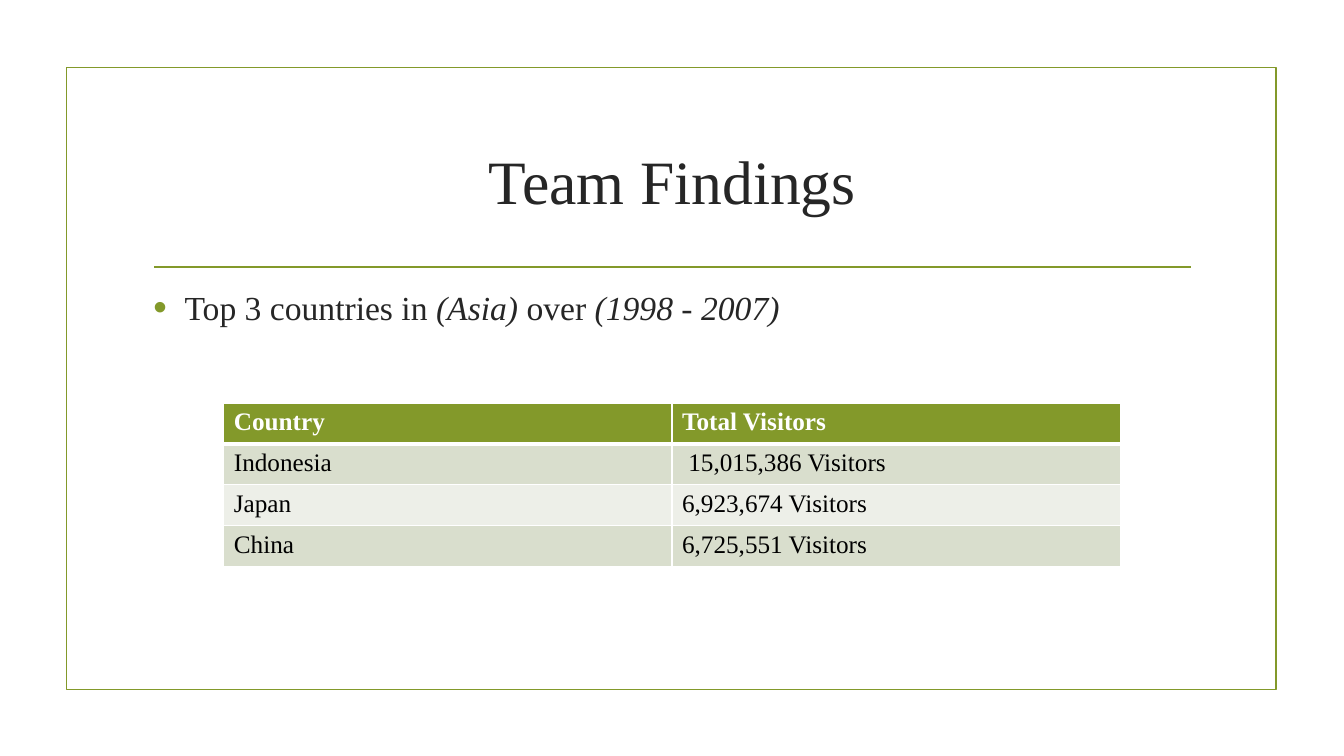
import lxml.etree
import pptx
import pptx.dml.color
import pptx.enum.shapes
import pptx.enum.text
import pptx.oxml.ns
import pptx.util

Inches = pptx.util.Inches
Pt = pptx.util.Pt
RGBColor = pptx.dml.color.RGBColor
qn = pptx.oxml.ns.qn

OLIVE = RGBColor(0x83, 0x99, 0x2A)
INK = RGBColor(0x26, 0x26, 0x26)
BLACK = RGBColor(0, 0, 0)
WHITE = RGBColor(0xFF, 0xFF, 0xFF)
BAND_DARK = RGBColor(0xD9, 0xDE, 0xCD)
BAND_LIGHT = RGBColor(0xED, 0xEF, 0xE8)
FONT = "Times New Roman"

FINDING = [
    ("Top 3 countries in ", False),
    ("(Asia) ", True),
    ("over ", False),
    ("(1998 - 2007)", True),
]
VISITORS = [
    ("Country", "Total Visitors"),
    ("Indonesia", " 15,015,386 Visitors"),
    ("Japan", "6,923,674 Visitors"),
    ("China", "6,725,551 Visitors"),
]


def style_span(span, size, color, bold=False, italic=False):
    span.font.name = FONT
    span.font.size = Pt(size)
    span.font.color.rgb = color
    span.font.bold = bold
    span.font.italic = italic


def place(shape, box):
    shape.left, shape.top, shape.width, shape.height = map(Inches, box)


def add_element(parent, tag, **attributes):
    return lxml.etree.SubElement(parent, qn(tag), attributes)


def add_frame(page, box):
    frame = page.shapes.add_shape(
        pptx.enum.shapes.MSO_SHAPE.RECTANGLE, *map(Inches, box)
    )
    frame.shadow.inherit = False
    frame.fill.background()
    frame.line.color.rgb = OLIVE
    frame.line.width = Pt(1.25)
    page.shapes.title.element.addprevious(frame.element)


def add_rule(page, box):
    left, top, width, height = box
    rule = page.shapes.add_connector(
        pptx.enum.shapes.MSO_CONNECTOR.STRAIGHT,
        *map(Inches, (left, top, left + width, top + height)),
    )
    rule.line.color.rgb = OLIVE
    rule.line.width = Pt(1.25)
    add_element(rule.element.spPr, "a:effectLst")
    page.shapes.title.element.addprevious(rule.element)


def fill_title(page, box):
    title = page.shapes.title
    place(title, box)
    frame = title.text_frame
    frame.text = "Team Findings"
    frame.auto_size = pptx.enum.text.MSO_AUTO_SIZE.NONE
    frame.vertical_anchor = pptx.enum.text.MSO_ANCHOR.MIDDLE
    para = frame.paragraphs[0]
    para.alignment = pptx.enum.text.PP_ALIGN.CENTER
    style_span(para.runs[0], 44, INK)


def fill_body(page, box):
    body = page.placeholders[1]
    place(body, box)
    body.text_frame.auto_size = pptx.enum.text.MSO_AUTO_SIZE.NONE
    para = body.text_frame.paragraphs[0]
    for text, italic in FINDING:
        span = para.add_run()
        span.text = text
        style_span(span, 24, INK, italic=italic)
    para.space_after = Pt(6)
    properties = para.runs[0].font and para._p.get_or_add_pPr()
    properties.set("marL", str(Inches(0.31)))
    properties.set("indent", str(-Inches(0.31)))
    bullet_color = add_element(properties, "a:buClr")
    add_element(bullet_color, "a:srgbClr", val=str(OLIVE))
    add_element(properties, "a:buSzPct", val="115000")
    add_element(properties, "a:buFont", typeface="Arial")
    add_element(properties, "a:buChar", char="•")


def add_borders(cell, bottom):
    properties = cell._tc.get_or_add_tcPr()
    widths = {"a:lnL": 1, "a:lnR": 1, "a:lnT": 1, "a:lnB": bottom}
    for tag, width in widths.items():
        border = add_element(properties, tag, w=str(Pt(width)))
        fill = add_element(border, "a:solidFill")
        add_element(fill, "a:srgbClr", val=str(WHITE))


def add_visitor_table(page, box):
    table = page.shapes.add_table(
        len(VISITORS), len(VISITORS[0]), *map(Inches, box)
    ).table
    for row, values in enumerate(VISITORS):
        header = row == 0
        band = OLIVE if header else (BAND_LIGHT, BAND_DARK)[row % 2]
        for column, value in enumerate(values):
            cell = table.cell(row, column)
            cell.text_frame.text = value
            span = cell.text_frame.paragraphs[0].runs[0]
            style_span(span, 18, WHITE if header else BLACK, bold=header)
            add_borders(cell, 3 if header else 1)
            cell.fill.solid()
            cell.fill.fore_color.rgb = band


def build_findings(page, box):
    left, top, width, height = box
    content_left = left + 0.057 * width
    content_width = 0.787 * width
    add_frame(page, (0.66, 0.67, 0.9 * width, 6.17))
    add_rule(page, (1.53, 2.65, 10.28, 0))
    fill_title(page, (1.42, 1.07, 10.5, 1.43))
    fill_body(page, (1.42, 2.8, 10.5, 3.63))
    add_visitor_table(page, (2.22, 4, 8.89, 1.62))


def main():
    deck = pptx.Presentation()
    deck.slide_width = Inches(13.33)
    deck.slide_height = Inches(7.5)
    page = deck.slides.add_slide(deck.slide_layouts[1])
    build_findings(page, (0, 0, 13.33, 7.5))
    deck.save("out.pptx")


if __name__ == "__main__":
    main()
